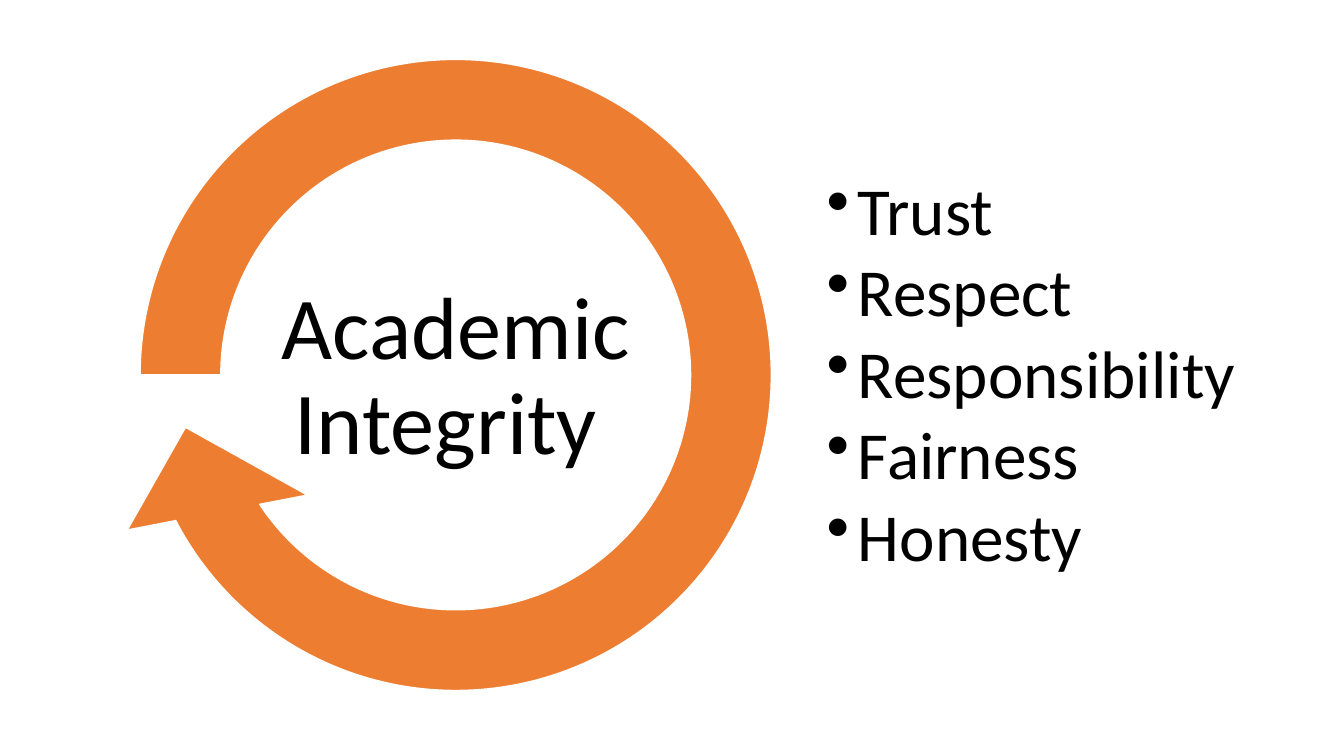
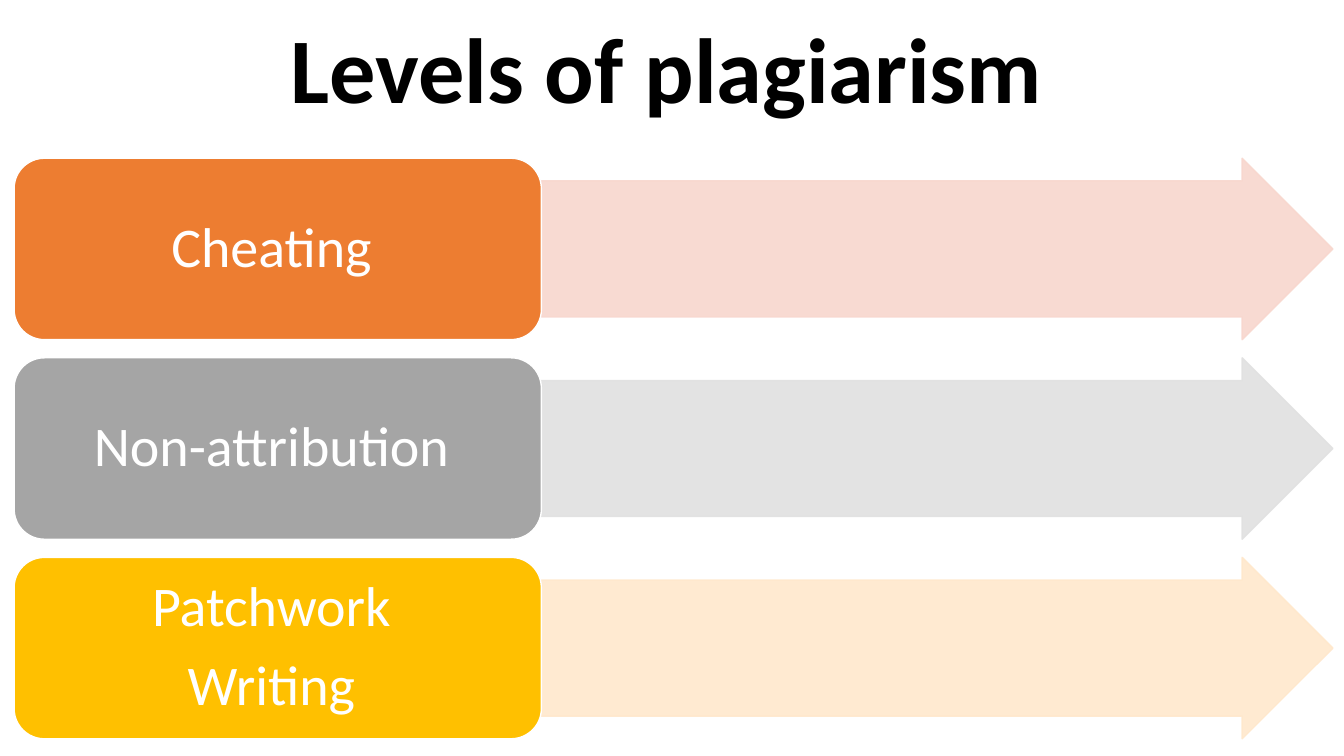
from lxml import etree
from pptx import Presentation
from pptx.dml.color import RGBColor
from pptx.enum import shapes, text
from pptx.oxml.ns import qn
from pptx.util import Inches, Pt

# Shared style
FONT = "Calibri"
BLACK, WHITE = "000000", "FFFFFF"
ORANGE, GRAY, GOLD = "ED7D31", "A5A5A5", "FFC000"
BLANK, TITLE_ONLY = 6, 5

VALUES = ["Trust", "Respect", "Responsibility", "Fairness", "Honesty"]
LEVELS = [  # label lines, card colour, arrow colour
    (["Cheating "], ORANGE, "F8D7CE"),
    (["Non-attribution "], GRAY, "E1E1E1"),
    (["Patchwork ", "Writing "], GOLD, "FFE8CC"),
]


def rgb(value):
    return RGBColor.from_string(value)


def set_alpha(color_format_owner, percent):
    """Make every solid colour below the given XML element translucent."""
    for color in color_format_owner.iter(qn("a:srgbClr")):
        etree.SubElement(color, qn("a:alpha")).set("val", str(percent * 1000))


def add_bullet(paragraph, indent):
    properties = paragraph._p.get_or_add_pPr()
    properties.set("marL", str(Inches(indent)))
    properties.set("indent", str(-Inches(indent)))
    etree.SubElement(properties, qn("a:buChar")).set("char", "•")


def write(frame, lines, size, color, inset=(0.04, 0.04), align=text.PP_ALIGN.CENTER,
          after=0, bold=False, bullet_indent=None):
    """Fill a text frame with one paragraph per line."""
    frame.word_wrap = True
    frame.auto_size = text.MSO_AUTO_SIZE.NONE
    frame.vertical_anchor = text.MSO_ANCHOR.MIDDLE
    frame.margin_left = frame.margin_right = Inches(inset[0])
    frame.margin_top = frame.margin_bottom = Inches(inset[1])
    for index, line in enumerate(lines):
        paragraph = frame.paragraphs[0] if index == 0 else frame.add_paragraph()
        if bullet_indent:
            add_bullet(paragraph, bullet_indent)
        paragraph.alignment = align
        paragraph.line_spacing = 0.9
        paragraph.space_before = Pt(0)
        paragraph.space_after = Pt(after)
        run = paragraph.add_run()
        run.text = line
        run.font.name = FONT
        run.font.size = Pt(size)
        run.font.bold = bold
        run.font.color.rgb = rgb(color)


def add_text(slide, box, lines, size, **style):
    textbox = slide.shapes.add_textbox(*map(Inches, box))
    write(textbox.text_frame, lines, size, BLACK, **style)


def add_shape(slide, preset, box, fill, line, adjustments=()):
    shape = slide.shapes.add_shape(preset, *map(Inches, box))
    shape.shadow.inherit = False
    for index, value in enumerate(adjustments):
        shape.adjustments[index] = value
    shape.fill.solid()
    shape.fill.fore_color.rgb = rgb(fill)
    shape.line.color.rgb = rgb(line)
    shape.line.width = Pt(1)
    return shape


def add_title(slide, title, box):
    placeholder = slide.shapes.title
    placeholder.left, placeholder.top, placeholder.width, placeholder.height = map(Inches, box)
    write(placeholder.text_frame, [title], 66, BLACK, inset=(0.1, 0.05), bold=True)


def add_level(slide, top, height, lines, card_color, arrow_color):
    """A labelled card with a pale arrow leading right from it."""
    left, card_width, arrow_width = 0.14, 5.23, 7.85
    arrow = add_shape(slide, shapes.MSO_SHAPE.RIGHT_ARROW,
                      (left + card_width, top, arrow_width, height),
                      arrow_color, arrow_color, (0.75, 0.5))
    set_alpha(arrow._element.spPr, 90)
    card = add_shape(slide, shapes.MSO_SHAPE.ROUNDED_RECTANGLE,
                     (left, top, card_width, height), card_color, WHITE)
    write(card.text_frame, lines, 40, WHITE, inset=(0.17, 0.08), after=13)


def build_integrity(deck):
    slide = deck.slides.add_slide(deck.slide_layouts[BLANK])
    # Ring arrow: thickness, head angle, end angle, start angle, head size
    add_shape(slide, shapes.MSO_SHAPE.CIRCULAR_ARROW, (0.88, 0.08, 7.28, 7.28),
              ORANGE, WHITE, (0.11, 11.42, 90, 108, 0.125))
    add_text(slide, (8.16, 0.6, 4.37, 6.27), VALUES, 48,
             align=text.PP_ALIGN.LEFT, after=6.3, bullet_indent=0.31)
    add_text(slide, (2.49, 2.74, 4.06, 2.03), ["Academic Integrity "], 63)


def build_levels(deck):
    slide = deck.slides.add_slide(deck.slide_layouts[TITLE_ONLY])
    add_title(slide, "Levels of plagiarism", (0, 0, 13.22, 1.45))
    height = 1.8
    for row, level in enumerate(LEVELS):
        add_level(slide, 1.57 + row * height * 1.1, height, *level)


def main():
    deck = Presentation()
    deck.slide_width, deck.slide_height = Inches(13.33), Inches(7.5)
    build_integrity(deck)
    build_levels(deck)
    deck.save("out.pptx")


if __name__ == "__main__":
    main()
